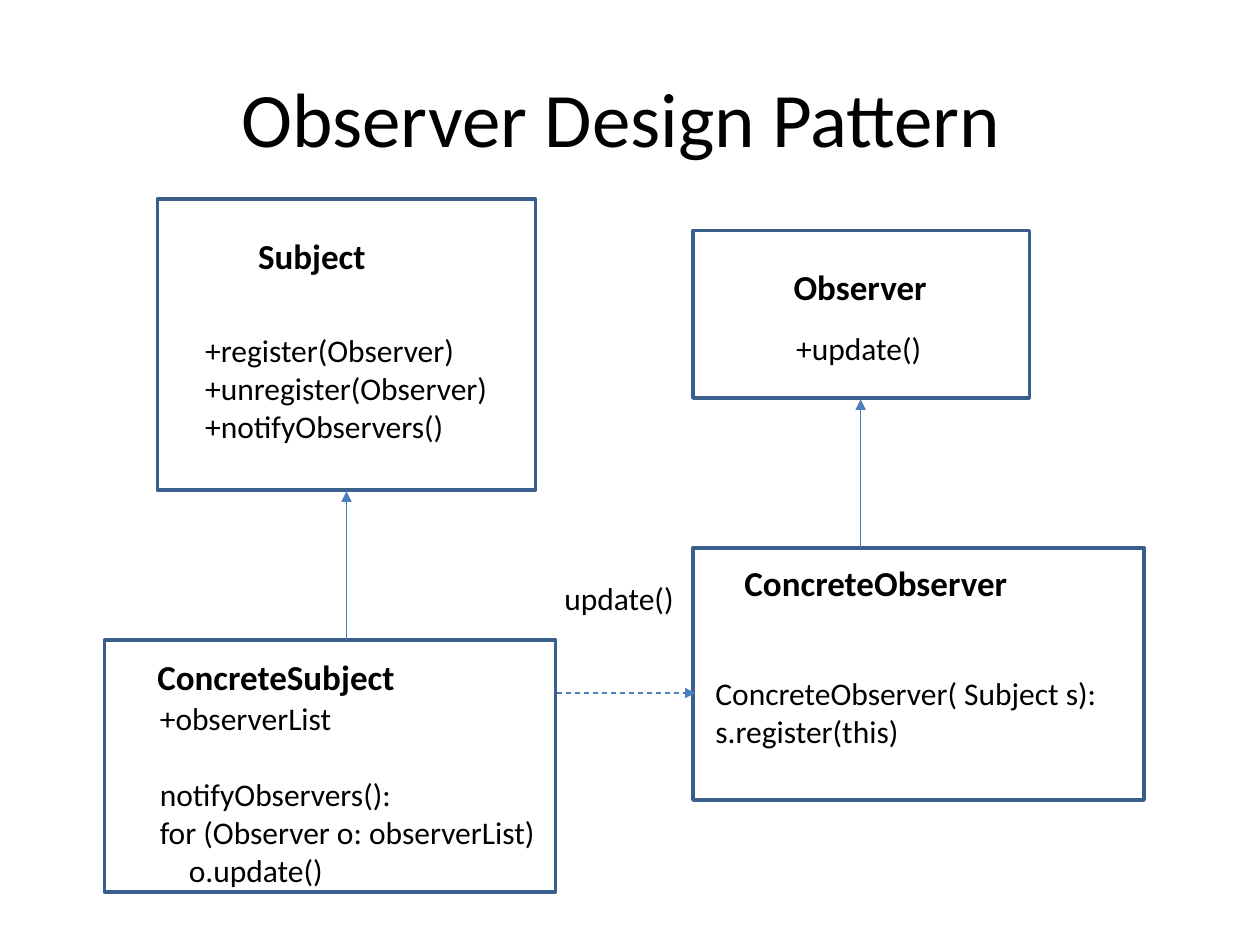
from pptx import Presentation
from pptx.dml.color import RGBColor
from pptx.enum import dml, shapes, text
from pptx.oxml.ns import qn
from pptx.util import Inches, Pt
from lxml import etree

FONT = "Calibri"
BLACK, BORDER, ARROW = "000000", "3A5F8C", "4B7EBC"
BLANK_LINE = Pt(22)  # height of one 18 pt line


def color(hex_value):
    return RGBColor.from_string(hex_value)


def add_title(page, words):
    title = page.shapes.title
    title.left, title.top = Inches(0.5), Inches(0.3)
    title.width, title.height = Inches(9), Inches(1.25)
    frame = title.text_frame
    frame.text = words
    frame.vertical_anchor = text.MSO_ANCHOR.MIDDLE
    para = frame.paragraphs[0]
    para.alignment = text.PP_ALIGN.CENTER
    para.font.name, para.font.size = FONT, Pt(44)
    para.font.color.rgb = color(BLACK)


def add_label(page, left, top, width, lines, size=18, bold=False):
    """Place unwrapped lines of text and return their paragraphs."""
    height = 0.1 + len(lines) * size / 60
    box = page.shapes.add_textbox(
        Inches(left), Inches(top), Inches(width), Inches(height))
    frame = box.text_frame
    frame.word_wrap = False
    frame.auto_size = text.MSO_AUTO_SIZE.SHAPE_TO_FIT_TEXT
    frame.text = "\n".join(lines)
    for para in frame.paragraphs:
        para.alignment = text.PP_ALIGN.LEFT
        para.font.name, para.font.size = FONT, Pt(size)
        para.font.bold = bold
        para.font.color.rgb = color(BLACK)
    return frame.paragraphs


def add_class(page, box, name, name_at, members, members_at):
    """Draw a class; name_at and members_at are (dx, dy, width) in its box."""
    left, top, width, height = box
    outline = page.shapes.add_shape(
        shapes.MSO_SHAPE.RECTANGLE, *(Inches(side) for side in box))
    outline.shadow.inherit = False
    outline.fill.background()
    outline.line.color.rgb = color(BORDER)
    outline.line.width = Pt(2)

    dx, dy, label_width = name_at
    add_label(page, left + dx, top + dy, label_width, [name], 20, True)
    dx, dy, label_width = members_at
    return add_label(page, left + dx, top + dy, label_width, members)


def add_arrow(page, start, end, dashed=False):
    line = page.shapes.add_connector(
        shapes.MSO_CONNECTOR.STRAIGHT,
        *(Inches(value) for value in start + end))
    line.line.color.rgb = color(ARROW)
    line.line.width = Pt(0.75)
    if dashed:
        line.line.dash_style = dml.MSO_LINE.DASH
    # Arrowhead at the end, no shadow
    etree.SubElement(line.line._get_or_add_ln(), qn("a:tailEnd"), type="triangle")
    etree.SubElement(line._element.spPr, qn("a:effectLst"))


def add_diagram(page):
    # Abstract classes
    add_class(page, (5.5, 1.83, 2.67, 1.33), "Observer", (0.7, 0.23, 1.27),
              ["+update()"], (0.72, 0.73, 1.21))
    add_class(page, (1.25, 1.58, 3, 2.31), "Subject", (0.7, 0.23, 1.06),
              ["+register(Observer)", "+unregister(Observer)",
               "+notifyObservers()"], (0.28, 1, 2.47))

    # Concrete classes
    members = add_class(
        page, (0.83, 5.08, 3.58, 2), "ConcreteSubject", (0.32, 0.07, 2.1),
        ["+observerList", "notifyObservers():",
         "for (Observer o: observerList)", "o.update()"], (0.34, 0.42, 3.21))
    members[1].space_before = BLANK_LINE
    members[3]._p.get_or_add_pPr().set("marL", str(Inches(0.23)))
    add_class(page, (5.5, 4.35, 3.58, 2), "ConcreteObserver", (0.31, 0.06, 2.31),
              ["ConcreteObserver( Subject s):", "s.register(this)"],
              (0.08, 0.95, 3.26))

    # Inheritance and update call
    add_arrow(page, (2.75, 5.08), (2.75, 3.9))
    add_arrow(page, (6.83, 4.35), (6.83, 3.17))
    add_arrow(page, (4.42, 5.5), (5.52, 5.5), dashed=True)
    add_label(page, 4.38, 4.55, 1.08, ["update()"])


def main():
    deck = Presentation()
    deck.slide_width, deck.slide_height = Inches(10), Inches(7.5)
    page = deck.slides.add_slide(deck.slide_layouts.get_by_name("Title Only"))
    add_title(page, "Observer Design Pattern ")
    add_diagram(page)
    deck.save("out.pptx")


if __name__ == "__main__":
    main()
